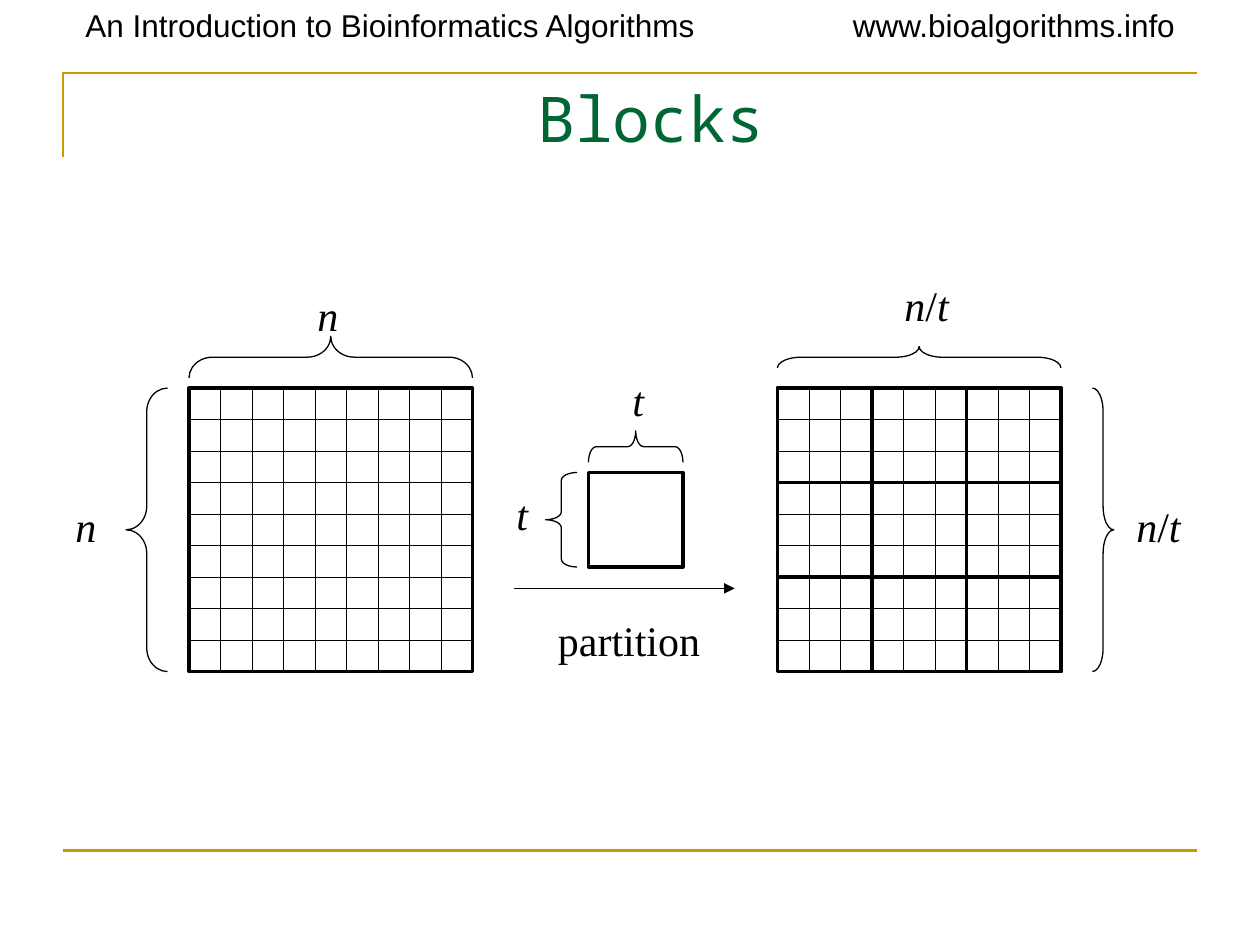
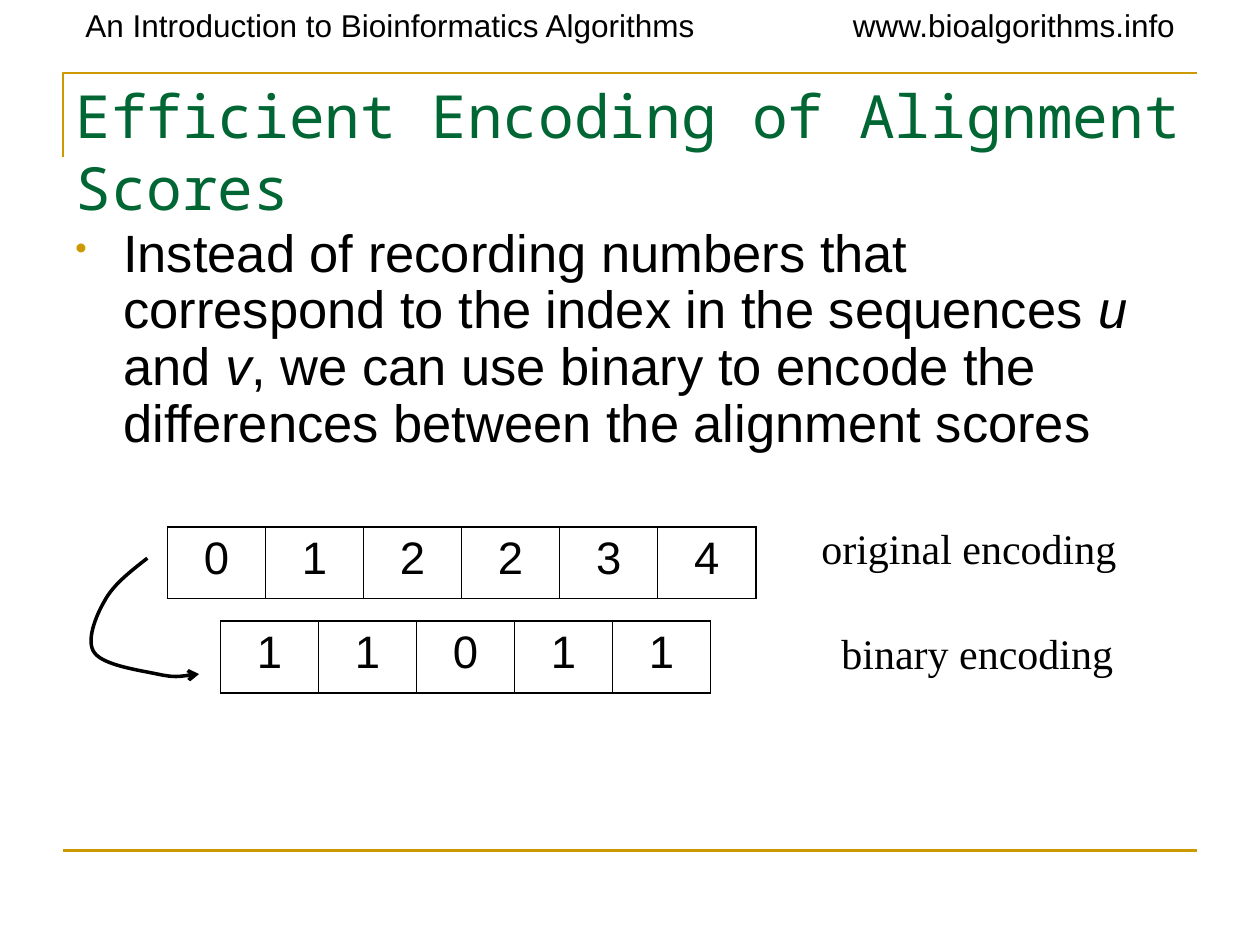
from lxml import etree
from pptx import Presentation
from pptx import util as u
from pptx.dml.color import RGBColor
from pptx.enum import shapes, text
from pptx.oxml import ns

BLACK, GOLD, GREEN = "000000", "CC9900", "006633"
SANS, MONO, SERIF = "Arial", "Noto Sans Mono", "Times New Roman"
SIDE, CELL, BLOCK = 2.25, 0.25, 0.75
GRID_TOP, LEFT_GRID, RIGHT_GRID = 3.08, 1.5, 6.17


def color(hex_text):
    return RGBColor.from_string(hex_text)


def add_el(parent, tag, **attrs):
    return etree.SubElement(parent, ns.qn(tag), attrs)


def style_line(sp, hex_text, width, head=None):
    sp.line.color.rgb = color(hex_text)
    sp.line.width = u.Pt(width)
    if head:
        add_el(sp.line._ln, "a:tailEnd", type=head)


def add_text(slide, box, content, size=24, font=SERIF, fill=BLACK,
             align=text.PP_ALIGN.LEFT):
    tf = slide.shapes.add_textbox(*map(u.Inches, box)).text_frame
    tf.word_wrap = True
    p = tf.paragraphs[0]
    write(p, content, size, font, fill, align)
    return p


def write(p, content, size, font, fill=BLACK, align=text.PP_ALIGN.LEFT):
    p.alignment = align
    for i, piece in enumerate(content.split("*")):
        if piece:
            r = p.add_run()
            r.text = piece
            r.font.size, r.font.name = u.Pt(size), font
            r.font.italic = i % 2 == 1
            r.font.color.rgb = color(fill)


def add_line(slide, x1, y1, x2, y2, hex_text=BLACK, width=0.75, head=None):
    c = slide.shapes.add_connector(
        shapes.MSO_CONNECTOR.STRAIGHT, *map(u.Inches, (x1, y1, x2, y2)))
    add_el(c._element.spPr, "a:effectLst")
    style_line(c, hex_text, width, head)


def add_outline(slide, kind, x, y, w, h, width):
    sp = slide.shapes.add_shape(kind, *map(u.Inches, (x, y, w, h)))
    sp.shadow.inherit = False
    sp.fill.background()
    style_line(sp, BLACK, width)
    return sp


def add_square(slide, x, y, side):
    add_outline(slide, shapes.MSO_SHAPE.RECTANGLE, x, y, side, side, 2)


def add_brace(slide, x, y, depth, length, right=False, rotation=0):
    kind = shapes.MSO_SHAPE.RIGHT_BRACE if right else shapes.MSO_SHAPE.LEFT_BRACE
    sp = add_outline(slide, kind, x, y, depth, length, 0.75)
    sp.adjustments[0] = length / 12 / depth
    sp.rotation = rotation


def add_path(slide, points, hex_text, width, head=None):
    pts = [(u.Inches(x), u.Inches(y)) for x, y in points]
    fb = slide.shapes.build_freeform(*pts[0])
    fb.add_line_segments(pts[1:], close=False)
    sp = fb.convert_to_shape()
    sp.shadow.inherit = False
    sp.fill.background()
    style_line(sp, hex_text, width, head)
    return sp


def add_curve(slide, points, hex_text, width, head=None):
    sp = add_path(slide, points, hex_text, width, head)
    route = next(sp._element.iter(ns.qn("a:path")))
    segments = route.findall(ns.qn("a:lnTo"))
    for i in range(0, len(segments), 3):
        bez = add_el(route, "a:cubicBezTo")
        for segment in segments[i:i + 3]:
            bez.append(segment[0])
            route.remove(segment)


def add_grid(slide, x, y):
    add_square(slide, x, y, SIDE)
    steps = [k * CELL for k in range(1, round(SIDE / CELL))]
    for d in steps:
        add_line(slide, x + d, y, x + d, y + SIDE, width=0.25)
    for d in steps:
        add_line(slide, x, y + d, x + SIDE, y + d, width=0.25)


def add_code_row(slide, x, y, width, values):
    box = map(u.Inches, (x, y, width, 0.57))
    table = slide.shapes.add_table(1, len(values), *box).table
    table.first_row = table.horz_banding = False
    for i, value in enumerate(values):
        cell = table.cell(0, i)
        write(cell.text_frame.paragraphs[0], value, 26, SANS,
              align=text.PP_ALIGN.CENTER)
        borders = {"L": 1.08 if i == 0 else 0.45,
                   "R": 1.08 if i == len(values) - 1 else 0.45,
                   "T": 1.08, "B": 1.08}
        tcPr = cell._tc.get_or_add_tcPr()
        for edge, weight in borders.items():
            ln = add_el(tcPr, "a:ln" + edge, w=str(u.Pt(weight)))
            add_el(add_el(ln, "a:solidFill"), "a:srgbClr", val=BLACK)
        cell.fill.background()


def add_bullet(p):
    pPr = p._p.get_or_add_pPr()
    pPr.set("marL", str(u.Inches(0.38)))
    pPr.set("indent", str(u.Inches(-0.38)))
    add_el(add_el(pPr, "a:buClr"), "a:srgbClr", val=GOLD)
    add_el(pPr, "a:buSzPct", val="65000")
    add_el(pPr, "a:buChar", char="•")
    p.line_spacing = 0.9


def add_slide(prs, title, width, size, align=text.PP_ALIGN.LEFT):
    slide = prs.slides.add_slide(prs.slide_layouts[6])
    add_path(slide, [(0.5, 1.25), (0.5, 0.58), (9.5, 0.58)], GOLD, 1.5)
    add_line(slide, 0.5, 6.75, 9.5, 6.75, GOLD, 1.5)
    add_text(slide, (0.58, 0, 5.5, 0.4),
             "An Introduction to Bioinformatics Algorithms", size=18, font=SANS)
    add_text(slide, (6.67, 0, 2.92, 0.4), "www.bioalgorithms.info",
             size=18, font=SANS)
    add_text(slide, (0.5, 0.58, width, 0.97), title, size=size, font=MONO,
             fill=GREEN, align=align)
    return slide


def build_blocks(prs):
    slide = add_slide(prs, "Blocks", 9.33, 36, text.PP_ALIGN.CENTER)
    add_line(slide, 4.08, 4.67, 5.83, 4.67, head="triangle")
    add_grid(slide, LEFT_GRID, GRID_TOP)
    add_square(slide, 4.67, 3.75, BLOCK)
    add_grid(slide, RIGHT_GRID, GRID_TOP)
    for row in range(3):
        for col in range(3):
            add_square(slide, RIGHT_GRID + col * BLOCK, GRID_TOP + row * BLOCK,
                       BLOCK)
    add_brace(slide, 1, GRID_TOP, 0.33, SIDE)
    add_brace(slide, 2.46, 1.71, 0.33, SIDE, rotation=90)
    add_brace(slide, 8.67, GRID_TOP, 0.17, SIDE, right=True)
    add_brace(slide, 7.21, 1.71, 0.17, SIDE, right=True, rotation=270)
    add_brace(slide, 4.33, 3.75, 0.25, BLOCK)
    add_brace(slide, 4.92, 3.17, 0.25, BLOCK, rotation=90)
    labels = [("partition", 4.33, 4.83, 1.4),
              ("*n*", 2.42, 2.25, 0.42), ("*n*", 0.5, 3.92, 0.42),
              ("*n*/*t*", 7.08, 2.17, 0.6), ("*n*/*t*", 8.92, 3.92, 0.6),
              ("*t*", 4.92, 2.92, 0.42), ("*t*", 4, 3.83, 0.42)]
    for label, x, y, width in labels:
        add_text(slide, (x, y, width, 0.5), label)


def build_encoding(prs):
    slide = add_slide(prs, "Efficient Encoding of Alignment Scores", 9.25, 34)
    body = add_text(
        slide, (0.5, 1.75, 9, 2.08),
        "Instead of recording numbers that correspond to the index in the "
        "sequences *u* and *v*, we can use binary to encode the differences "
        "between the alignment scores", size=30, font=SANS)
    add_bullet(body)
    add_code_row(slide, 1.33, 4.18, 4.67, "012234")
    add_code_row(slide, 1.75, 4.93, 3.89, "11011")
    add_text(slide, (6.42, 4.1, 2.92, 0.5), "original encoding")
    add_text(slide, (6.58, 4.93, 2.92, 0.5), "binary encoding")
    add_curve(slide, [(1.17, 4.43), (1.03, 4.54), (0.9, 4.64), (0.83, 4.77),
                      (0.76, 4.89), (0.68, 5.09), (0.75, 5.18),
                      (0.82, 5.28), (1.11, 5.32), (1.25, 5.35),
                      (1.39, 5.38), (1.49, 5.36), (1.58, 5.35)],
              BLACK, 2, "arrow")


def main():
    prs = Presentation()
    prs.slide_width, prs.slide_height = u.Inches(10), u.Inches(7.5)
    build_blocks(prs)
    build_encoding(prs)
    prs.save("out.pptx")


if __name__ == "__main__":
    main()
